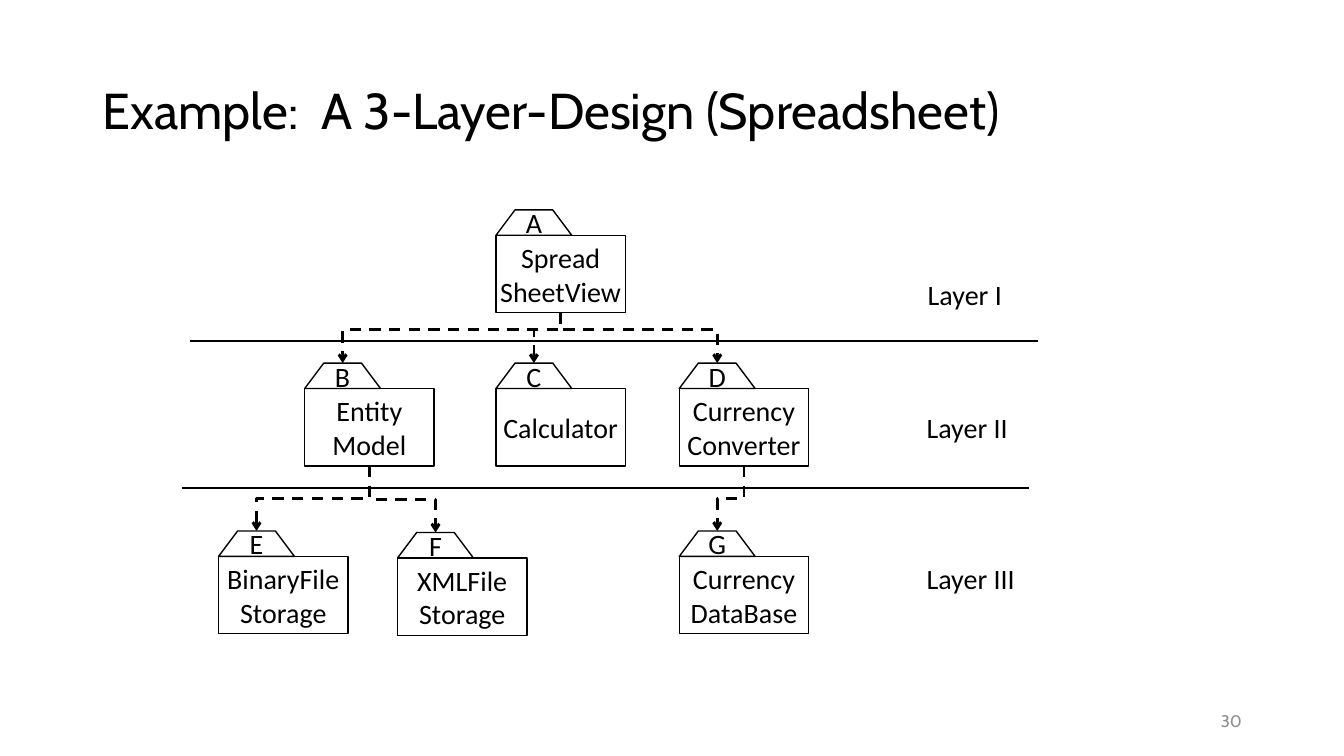
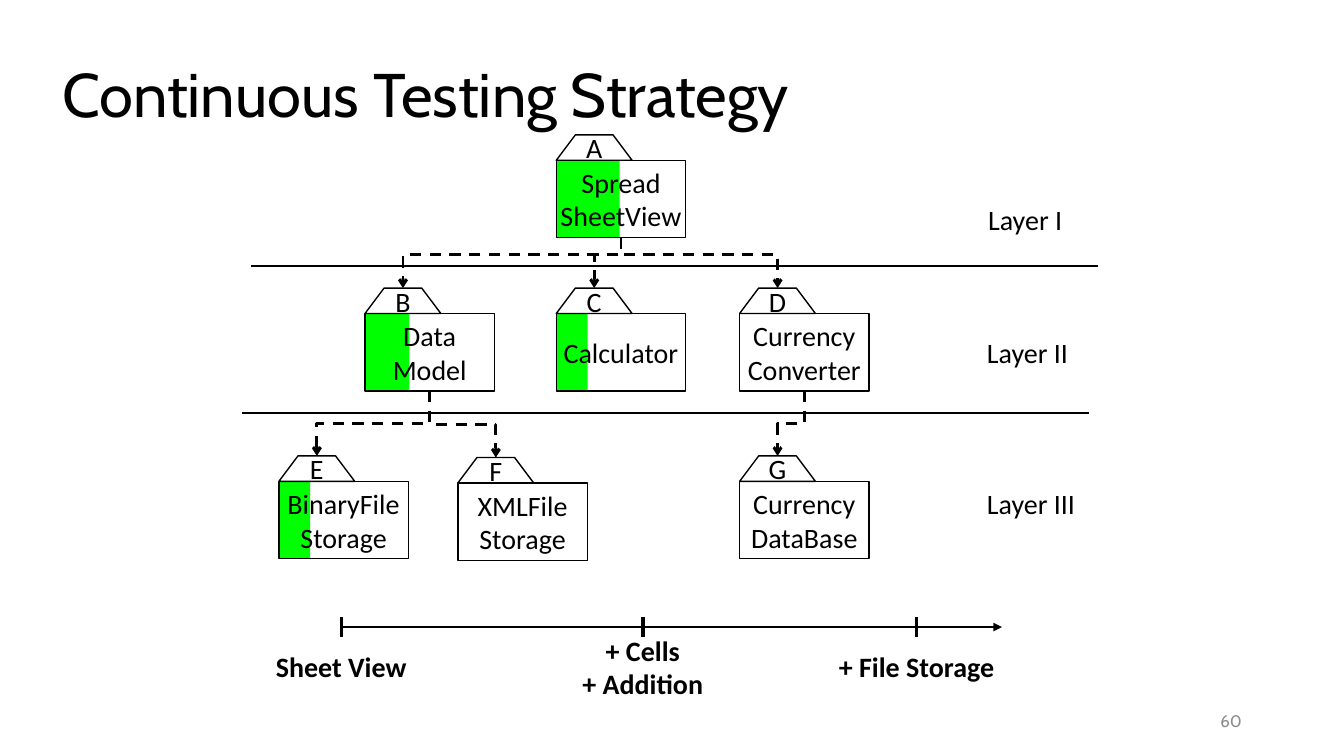
"""Build two slides on a layered spreadsheet design and its testing."""
from lxml import etree
from pptx import Presentation
from pptx.dml.color import RGBColor
from pptx.enum import dml, shapes, text
from pptx.oxml import ns
from pptx.util import Cm, Pt

HUES = {"ink": "000000", "paper": "FFFFFF", "done": "00FF00", "page": "8C8C8C"}
HEAD, BODY = "Cabin", "Calibri"
LEFT, MID, RIGHT = text.PP_ALIGN.LEFT, text.PP_ALIGN.CENTER, text.PP_ALIGN.RIGHT
BOX_W, BOX_H = 3.26, 1.95
TAB_W, TAB_H, SLANT = 1.91, 0.64, 0.48
UNITS = {
    "A": (7.92, 0, ["Spread", "SheetView"]),
    "B": (3.1, 3.86, ["Entity", "Model"]),
    "C": (7.92, 3.86, ["Calculator"]),
    "D": (12.54, 3.86, ["Currency", "Converter"]),
    "E": (0.93, 8.09, ["BinaryFile", "Storage"]),
    "F": (5.44, 8.13, ["XMLFile", "Storage"]),
    "G": (12.54, 8.09, ["Currency", "DataBase"]),
}
USES = [("AB", 0.34), ("AC", 0.34), ("AD", 0.34), ("DG", 0.5), ("BF", 0.5), ("BE", 0.5)]
RULES = [(0.22, 3.3), (0, 7.01)]
RULE_W = 21.35
LAYERS = [("Layer I", 18.55, 1.57), ("Layer II", 18.52, 4.93), ("Layer III", 18.52, 8.74)]
STEPS = [(0, ["Sheet View"]), (7.6, ["+ Cells", "+ Addition"]), (14.5, ["+ File Storage"])]


def hue(name):
    """Return the named colour."""
    return RGBColor.from_string(HUES[name])


def write(shape, lines, size=20, font=BODY, align=MID, bold=False, tint="ink",
          wrap=False, space=None):
    """Write lines, vertically centred, into a shape."""
    frame = shape.text_frame
    frame.word_wrap = wrap
    frame.vertical_anchor = text.MSO_ANCHOR.MIDDLE
    for i, line in enumerate(lines):
        para = frame.add_paragraph() if i else frame.paragraphs[0]
        para.alignment = align
        if space:
            para.line_spacing = space
        run = para.add_run()
        run.text = line
        run.font.name, run.font.size, run.font.bold = font, Pt(size), bold
        run.font.color.rgb = hue(tint)


def label(slide, box, lines, **style):
    """Add a text box at the given box."""
    write(slide.shapes.add_textbox(*map(Cm, box)), lines, **style)


def paint(shape, fill, edge=True):
    """Set the fill and outline of a shape."""
    shape.shadow.inherit = False
    if fill:
        shape.fill.solid()
        shape.fill.fore_color.rgb = hue(fill)
    else:
        shape.fill.background()
    if edge:
        shape.line.color.rgb = hue("ink")
        shape.line.width = Pt(1)
    else:
        shape.line.fill.background()


def block(slide, box, fill, edge=True):
    """Add a rectangle."""
    rect = slide.shapes.add_shape(shapes.MSO_SHAPE.RECTANGLE, *map(Cm, box))
    paint(rect, fill, edge)
    return rect


def link(slide, ends, width=1, tip=None, dash=False, kind=shapes.MSO_CONNECTOR.STRAIGHT):
    """Add a connector, with an arrowhead if a tip is named."""
    wire = slide.shapes.add_connector(kind, *map(Cm, ends))
    wire.line.color.rgb = hue("ink")
    wire.line.width = Pt(width)
    if dash:
        wire.line.dash_style = dml.MSO_LINE.DASH
    if tip:
        etree.SubElement(wire.line._get_or_add_ln(), ns.qn("a:tailEnd"), type=tip)
    etree.SubElement(wire._element.spPr, ns.qn("a:effectLst"))
    return wire


def bend(slide, x, y, to_x, to_y, ratio):
    """Add a dashed arrow that goes down, across and down."""
    mid_x, mid_y = (x + to_x) / 2, (y + to_y) / 2
    left = to_x < x
    half_w = (to_y - y) / 2 * (1 if left else -1)
    half_h = abs(to_x - x) / 2
    ends = mid_x - half_w, mid_y - half_h, mid_x + half_w, mid_y + half_h
    wire = link(slide, ends, 2, "arrow", True, shapes.MSO_CONNECTOR.ELBOW)
    props = wire._element.spPr
    props.find(ns.qn("a:xfrm")).set("rot", str((90 if left else 270) * 60000))
    guides = props.find(ns.qn("a:prstGeom")).find(ns.qn("a:avLst"))
    etree.SubElement(guides, ns.qn("a:gd"), name="adj1", fmla=f"val {round(ratio * 100000)}")


def unit(slide, x, y, name, lines, done):
    """Draw a package: a tab above a box, filled to its tested width."""
    top = y + TAB_H
    if done:
        block(slide, (x, top, done, BOX_H), "done", False)
    write(block(slide, (x, top, BOX_W, BOX_H), None if done else "paper"), lines)
    pen = slide.shapes.build_freeform(Cm(x), Cm(top))
    rest = [(x + SLANT, y), (x + TAB_W - SLANT, y), (x + TAB_W, top)]
    pen.add_line_segments([(Cm(a), Cm(b)) for a, b in rest], close=True)
    tab = pen.convert_to_shape()
    paint(tab, "paper")
    write(tab, [name])


def layers(slide, x, y, names=None, done=None):
    """Draw the three layers with their packages and uses."""
    names, done = names or {}, done or {}
    for left, top in RULES:
        link(slide, (x + left, y + top, x + left + RULE_W, y + top))
    for word, left, top in LAYERS:
        label(slide, (x + left, y + top, 3, 1.1), [word], align=LEFT, wrap=True)
    for (src, dst), ratio in USES:
        a, b = UNITS[src], UNITS[dst]
        bend(slide, x + a[0] + BOX_W / 2, y + a[1] + TAB_H + BOX_H,
             x + b[0] + TAB_W / 2, y + b[1], ratio)
    for name, (left, top, lines) in UNITS.items():
        unit(slide, x + left, y + top, name, names.get(name, lines), done.get(name))


def steps(slide, x, y):
    """Draw the time arrow with its marked steps."""
    link(slide, (x, y, x + 16.65, y), 2, "triangle")
    for gap, lines in STEPS:
        at = x + gap
        link(slide, (at, y - 0.25, at, y + 0.25), 2.5)
        label(slide, (at - 2.25, y, 4.5, 2), lines, bold=True)


def page(deck, title, box, size, number):
    """Add a slide with its title and number."""
    slide = deck.slides.add_slide(deck.slide_layouts[6])
    label(slide, box, [title], size=size, font=HEAD, align=LEFT, wrap=True, space=0.9)
    label(slide, (23.93, 17.65, 7.62, 1.02), [number], size=12, font=HEAD,
          align=RIGHT, tint="page", wrap=True)
    return slide


def main():
    """Build and save the deck."""
    deck = Presentation()
    deck.slide_width, deck.slide_height = Cm(33.87), Cm(19.05)
    plan = page(deck, "Example:  A 3-Layer-Design (Spreadsheet)",
                (2.34, 1.02, 29.21, 3.68), 36, "30")
    layers(plan, 4.58, 5.29)
    test = page(deck, "Continuous Testing Strategy", (1.32, 1.09, 25.4, 2.74), 44, "60")
    layers(test, 6.1, 3.4, {"B": ["Data", "Model"]},
           {"A": 1.6, "B": 1.12, "C": 0.79, "E": 0.79})
    steps(test, 8.6, 15.8)
    deck.save("out.pptx")


if __name__ == "__main__":
    main()
